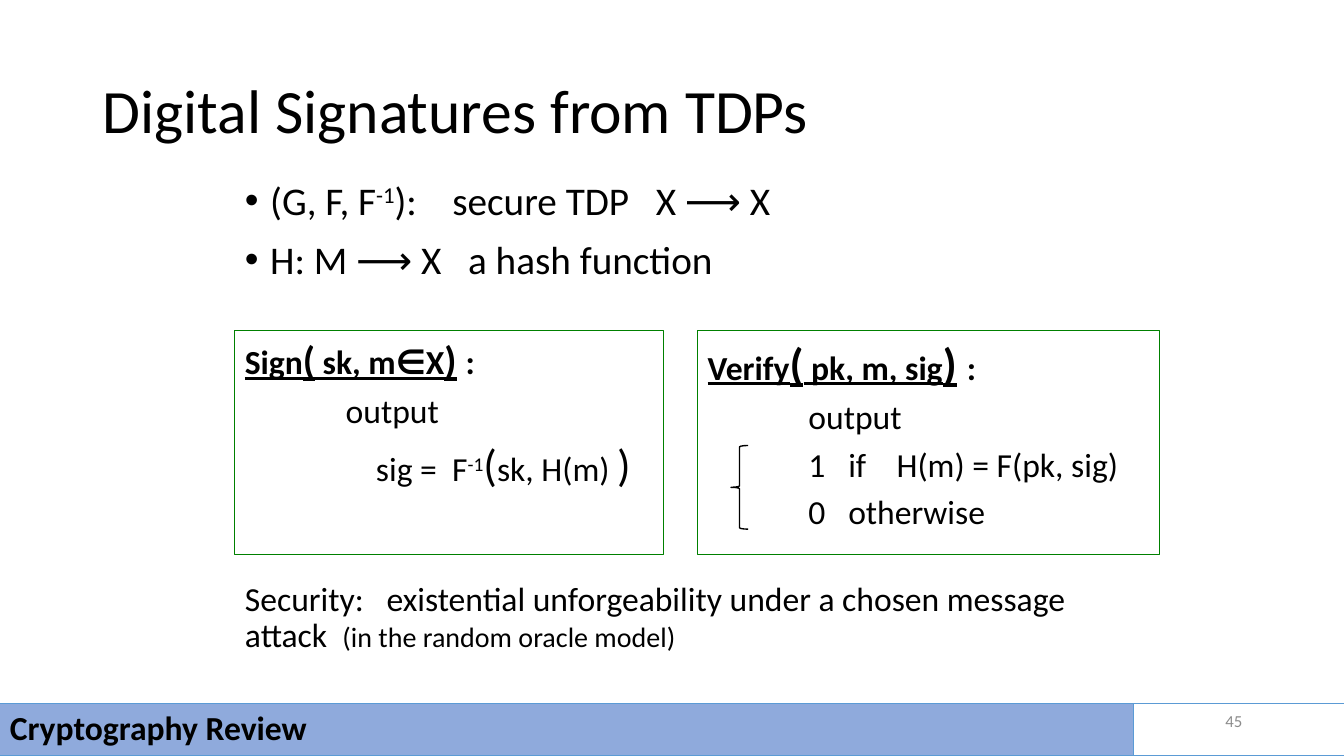
from pptx import Presentation
from pptx.dml.color import RGBColor
from pptx.enum.shapes import MSO_SHAPE
from pptx.enum.text import MSO_ANCHOR, MSO_AUTO_SIZE, PP_ALIGN
from pptx.util import Emu, Pt

RECT, BRACE = MSO_SHAPE.RECTANGLE, MSO_SHAPE.LEFT_BRACE
TOP, MIDDLE = MSO_ANCHOR.TOP, MSO_ANCHOR.MIDDLE
LEFT, RIGHT = PP_ALIGN.LEFT, PP_ALIGN.RIGHT
PX = 9144  # 100 px to the inch
COLORS = {"text": "000000", "frame": "008000", "bar": "8FAADC",
          "edge": "5B9BD5", "number": "8C8C8C"}


def rgb(name):
    return RGBColor.from_string(COLORS[name])


class SlideBuilder:
    font = "Calibri"

    def __init__(self, slide):
        self.slide = slide

    def place(self, shape, box):
        shape.left, shape.top, shape.width, shape.height = (Emu(v * PX) for v in box)

    def frame(self, shape, anchor):
        text = shape.text_frame
        text.word_wrap = True
        text.auto_size = MSO_AUTO_SIZE.NONE
        text.vertical_anchor = anchor
        return text

    def placeholder(self, index, box, anchor):
        holder = self.slide.placeholders[index]
        self.place(holder, box)
        return self.frame(holder, anchor)

    def shape(self, kind, box, line, width=0.75, fill=None, anchor=TOP):
        shape = self.slide.shapes.add_shape(kind, *(Emu(v * PX) for v in box))
        shape.shadow.inherit = False
        if fill:
            shape.fill.solid()
            shape.fill.fore_color.rgb = rgb(fill)
        else:
            shape.fill.background()
        shape.line.color.rgb = rgb(line)
        shape.line.width = Pt(width)
        return self.frame(shape, anchor)

    def textbox(self, box, anchor):
        return self.frame(self.slide.shapes.add_textbox(*(Emu(v * PX) for v in box)), anchor)

    def paragraph(self, text, runs, before=0, spacing=1.0, margin=0, bullet=None,
                  align=LEFT, color="text"):
        """Fill the empty first paragraph or append one; runs are (text, size, flags).

        Flags: b bold, u underlined, ^ superscript.
        """
        para = text.paragraphs[0]
        if para.runs:
            para = text.add_paragraph()
        para.alignment = align
        para.space_before = Pt(before)
        para.line_spacing = spacing
        props = para._p.get_or_add_pPr()
        props.set("marL", str(margin * PX))
        props.set("indent", str(-margin * PX if bullet else 0))
        if bullet:
            mark = props.makeelement(props.tag.replace("pPr", "buChar"), {"char": bullet})
        else:
            mark = props.makeelement(props.tag.replace("pPr", "buNone"), {})
        props.append(mark)
        for words, size, flags in runs:
            run = para.add_run()
            run.text = words
            run.font.name = self.font
            run.font.size = Pt(size)
            run.font.bold = "b" in flags
            run.font.underline = "u" in flags
            run.font.color.rgb = rgb(color)
            if "^" in flags:
                run.font._element.set("baseline", "30000")

    def algorithm(self, box, name, arguments, paren_size, steps):
        """Framed box: underlined signature, then steps of (margin, runs)."""
        text = self.shape(RECT, box, "frame")
        signature = [(name, 24, "bu"), ("(", paren_size, "bu"), (arguments, 24, "bu"),
                     (")", paren_size, "bu"), (" ", paren_size, "b"), (":", 24, "b")]
        self.paragraph(text, signature, before=5)
        for margin, runs in steps:
            self.paragraph(text, runs, before=5, margin=margin)


def main():
    deck = Presentation()
    deck.slide_width, deck.slide_height = Emu(1333 * PX), Emu(750 * PX)
    build = SlideBuilder(deck.slides.add_slide(deck.slide_layouts[1]))

    title = build.placeholder(0, (92, 40, 1150, 145), MIDDLE)
    build.paragraph(title, [("Digital Signatures from TDPs", 44, "")], spacing=0.9)

    body = build.placeholder(1, (233, 175, 917, 550), TOP)
    premises = [
        [("(G, F, F", 28, ""), ("-1", 28, "^"), ("):    secure TDP   X ⟶ X", 28, "")],
        [("H: M ⟶ X   a hash function", 28, "")],
    ]
    for premise in premises:
        build.paragraph(body, premise, before=11.8, spacing=0.9, margin=25, bullet="•")
    security = [
        ("Security:   existential unforgeability under a chosen message attack  ", 24, ""),
        ("(in the random oracle model)", 20, ""),
    ]
    build.paragraph(body, security, before=214, spacing=0.9)

    build.algorithm((233, 328, 425, 222), "Sign", " sk, m∈X", 28, [
        (100, [("output", 24, "")]),
        (130, [("sig =  F", 24, ""), ("-1", 24, "^"), ("(", 32, ""),
               ("sk, H(m) ", 24, ""), (")", 32, "")]),
    ])
    build.algorithm((692, 328, 458, 222), "Verify", " pk, m, sig", 32, [
        (100, [(step, 24, "")])
        for step in ("output", "1   if    H(m) = F(pk, sig)", "0   otherwise")
    ])
    build.shape(BRACE, (725, 442, 17, 83), "text", width=1)

    footer = build.shape(RECT, (0, 698, 1124, 52), "edge", fill="bar", anchor=MIDDLE)
    build.paragraph(footer, [("Cryptography Review", 24, "b")], spacing=0.9)
    build.shape(RECT, (1124, 698, 210, 52), "edge")
    number = build.textbox((942, 695, 300, 40), MIDDLE)
    build.paragraph(number, [("45", 12, "")], align=RIGHT, color="number")

    deck.save("out.pptx")


if __name__ == "__main__":
    main()
